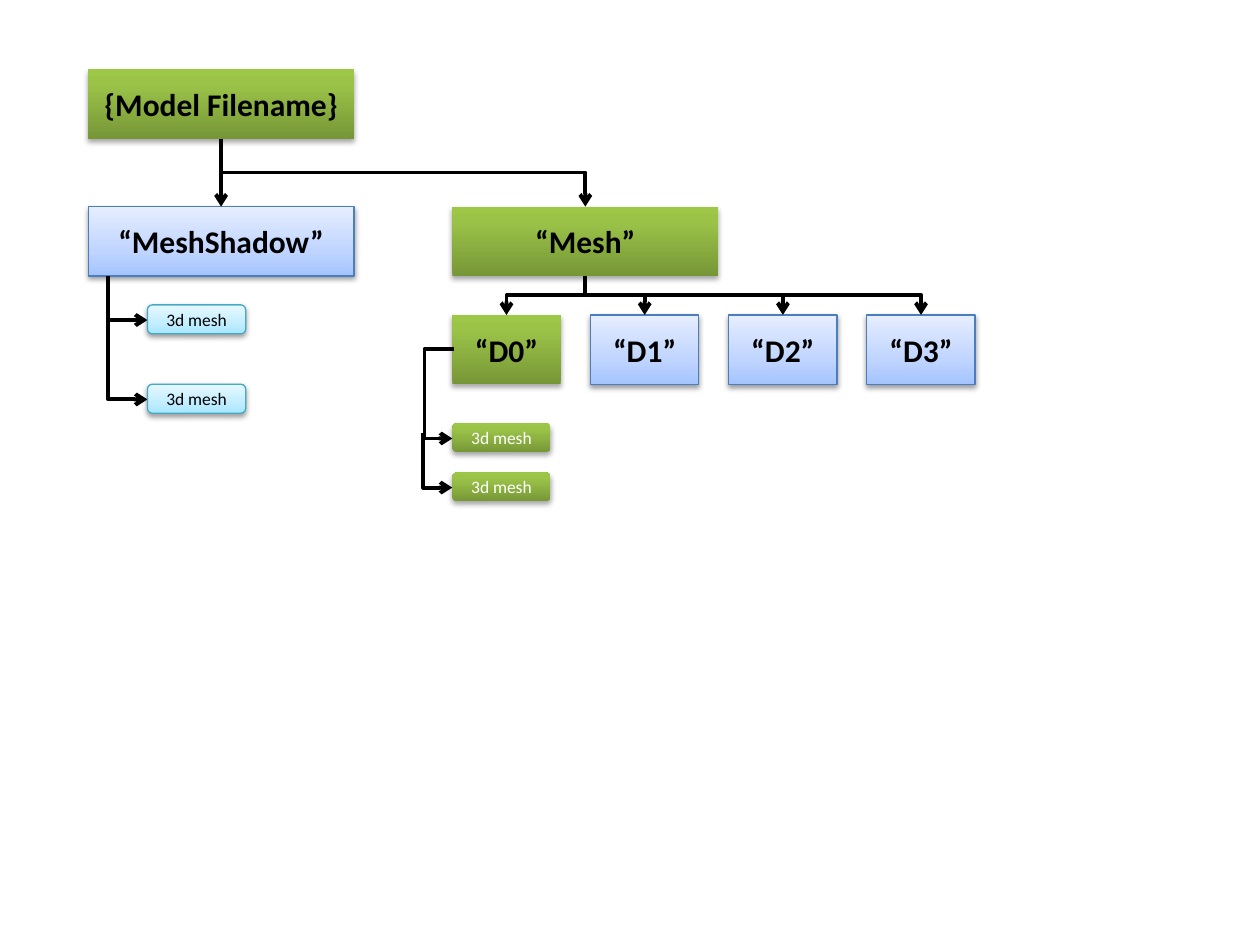
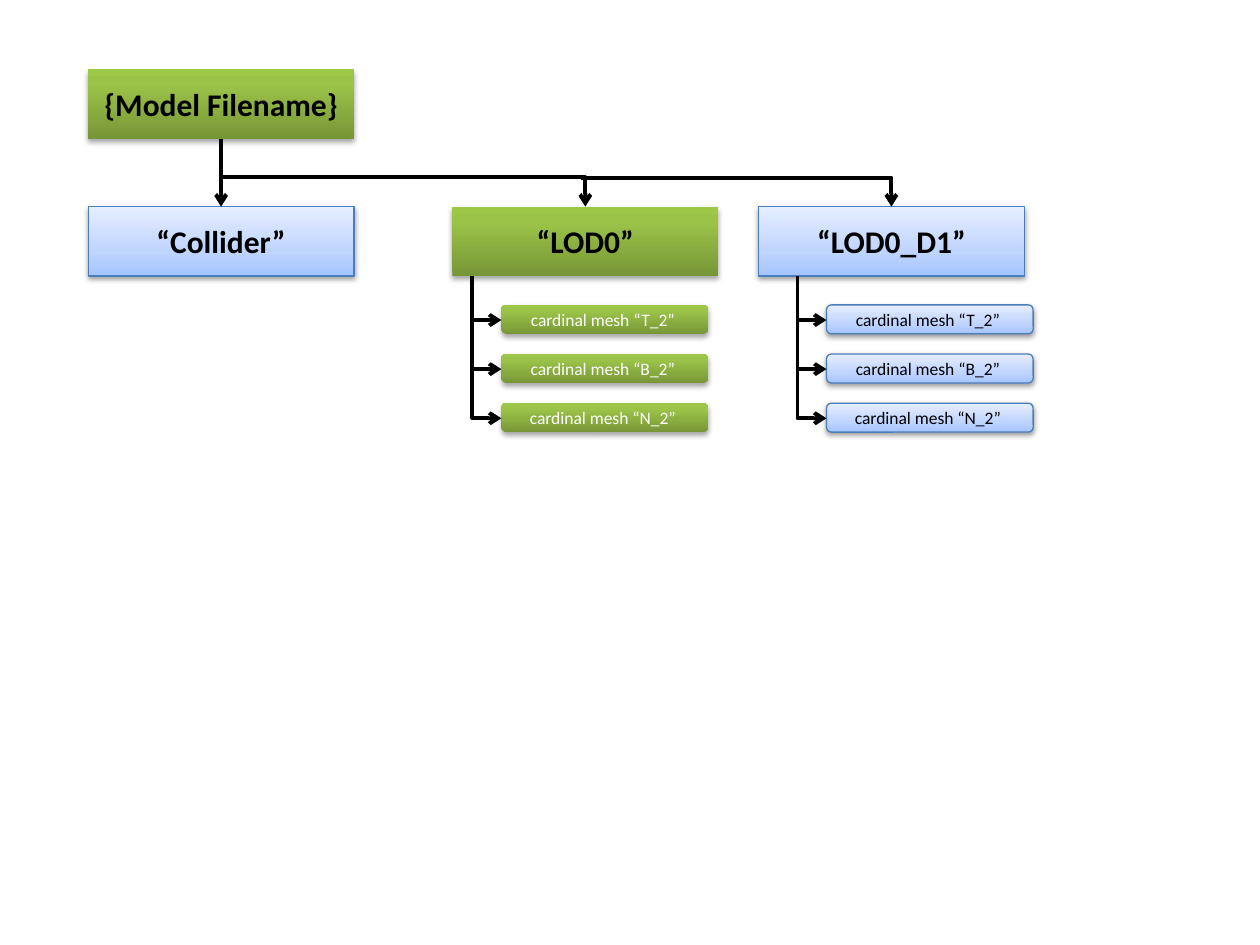
"""Build two slides that show the node hierarchy of a 3D model file."""
from collections import namedtuple
from copy import deepcopy

from lxml.etree import SubElement
from pptx import Presentation
from pptx.dml.color import RGBColor
from pptx.enum.shapes import MSO_CONNECTOR, MSO_SHAPE
from pptx.enum.text import MSO_ANCHOR, PP_ALIGN
from pptx.oxml.ns import qn
from pptx.util import Inches, Pt

BLACK = RGBColor(0x00, 0x00, 0x00)
WHITE = RGBColor(0xFF, 0xFF, 0xFF)
GREEN_DARK = RGBColor(0x77, 0x97, 0x37)
GREEN_MID = RGBColor(0x9B, 0xC3, 0x48)
GREEN_LIGHT = RGBColor(0x9D, 0xC7, 0x46)
BLUE_DARK = RGBColor(0xA4, 0xC4, 0xFF)
BLUE_MID = RGBColor(0xBF, 0xD4, 0xFF)
BLUE_LIGHT = RGBColor(0xE6, 0xEE, 0xFF)
BLUE_EDGE = RGBColor(0x4B, 0x7E, 0xBC)
CYAN_DARK = RGBColor(0xA7, 0xE6, 0xFF)
CYAN_MID = RGBColor(0xC1, 0xED, 0xFF)
CYAN_LIGHT = RGBColor(0xE7, 0xF8, 0xFF)
CYAN_EDGE = RGBColor(0x46, 0xAA, 0xC5)

Look = namedtuple("Look", "stops edge leaf_text shadow_distance shadow_alpha")
GREEN = Look([(0, GREEN_DARK), (0.8, GREEN_MID), (1, GREEN_LIGHT)], None, WHITE, 1.8, 35)
BLUE = Look([(0, BLUE_DARK), (0.35, BLUE_MID), (1, BLUE_LIGHT)], BLUE_EDGE, BLACK, 1.6, 38)
CYAN = Look([(0, CYAN_DARK), (0.35, CYAN_MID), (1, CYAN_LIGHT)], CYAN_EDGE, BLACK, 1.6, 38)

Route = namedtuple("Route", "preset turn flip")
DOWN_RIGHT_DOWN = Route("bentConnector3", 270, "flipH")
DOWN_LEFT_DOWN = Route("bentConnector3", 90, None)
DOWN_RIGHT = Route("bentConnector2", 270, "flipH")
RIGHT_DOWN = Route("bentConnector2", 0, None)
AROUND_LEFT = Route("bentConnector3", 180, "flipV")

NODE_WIDTH, NODE_HEIGHT = 2.11, 0.55
DETAIL_WIDTH, LEAF_HEIGHT, MESH_WIDTH = 0.86, 0.23, 0.78
ROOT_TOP, BRANCH_TOP, DETAIL_TOP, LEAF_TOP = 0.55, 1.64, 2.5, 2.42
ROOT_BOTTOM, BRANCH_BOTTOM = ROOT_TOP + NODE_HEIGHT, BRANCH_TOP + NODE_HEIGHT
FIRST_LEFT, SECOND_LEFT, THIRD_LEFT = 0.7, 3.59, 6.02
FIRST_CENTRE, SECOND_CENTRE, THIRD_CENTRE = (
    left + NODE_WIDTH / 2 for left in (FIRST_LEFT, SECOND_LEFT, THIRD_LEFT))


class TreeDeck:
    """Hold the diagram style and the current slide."""

    def __init__(self):
        self.deck = Presentation()
        self.deck.slide_width, self.deck.slide_height = Inches(10), Inches(7.5)
        self.page = None

    def new_page(self):
        self.page = self.deck.slides.add_slide(self.deck.slide_layouts[6])

    def box(self, kind, text, left, top, width, height, look, font_values):
        box = self.page.shapes.add_shape(
            kind, Inches(left), Inches(top), Inches(width), Inches(height))
        self.fill(box, look)
        self.shade(box, look)
        frame = box.text_frame
        frame.vertical_anchor = MSO_ANCHOR.MIDDLE
        para = frame.paragraphs[0]
        para.alignment = PP_ALIGN.CENTER
        span = para.add_run()
        span.text = text
        color = font_values.pop("color")
        for name, value in font_values.items():
            setattr(span.font, name, value)
        span.font.color.rgb = color
        return box

    def fill(self, box, look):
        box.fill.gradient()
        box.fill.gradient_angle = 90
        stop_list = box._element.spPr.find(".//" + qn("a:gsLst"))
        stop_list.append(deepcopy(stop_list[-1]))
        for stop, (position, color) in zip(box.fill.gradient_stops, look.stops):
            stop.position = position
            stop.color.rgb = color
        if look.edge is None:
            box.line.fill.background()
        else:
            box.line.color.rgb = look.edge
            box.line.width = Pt(0.75)

    def shade(self, box, look):
        box.shadow.inherit = False
        effects = box._element.spPr.find(qn("a:effectLst"))
        shadow = SubElement(
            effects, qn("a:outerShdw"), blurRad=str(Pt(3.1)),
            dist=str(Pt(look.shadow_distance)), dir="5400000", rotWithShape="0")
        color = SubElement(shadow, qn("a:srgbClr"), val=str(BLACK))
        SubElement(color, qn("a:alpha"), val=str(look.shadow_alpha * 1000))

    def node(self, text, left, top, look, width=NODE_WIDTH):
        font_values = {"name": "Calibri", "size": Pt(18), "bold": True, "color": BLACK}
        return self.box(MSO_SHAPE.RECTANGLE, text, left, top, width, NODE_HEIGHT,
                        look, font_values)

    def leaf(self, text, left, top, width, look):
        font_values = {"name": "Calibri", "size": Pt(10), "color": look.leaf_text}
        return self.box(MSO_SHAPE.ROUNDED_RECTANGLE, text, left, top, width, LEAF_HEIGHT,
                        look, font_values)

    def connector(self, kind, left, top, width, height):
        connector = self.page.shapes.add_connector(
            kind, Inches(left), Inches(top), Inches(left + width), Inches(top + height))
        connector.line.color.rgb = BLACK
        connector.line.width = Pt(2.25)
        properties = connector._element.spPr
        SubElement(properties.find(qn("a:ln")), qn("a:tailEnd"), type="arrow")
        SubElement(properties, qn("a:effectLst"))
        return connector

    def arrow(self, upper, lower):
        connector = self.connector(MSO_CONNECTOR.STRAIGHT, FIRST_CENTRE, ROOT_BOTTOM,
                                   0, BRANCH_TOP - ROOT_BOTTOM)
        connector.begin_connect(upper, 2)
        connector.end_connect(lower, 0)

    def elbow(self, start, end, route, bend=None):
        width, height = abs(end[0] - start[0]), abs(end[1] - start[1])
        if route.turn in (90, 270):
            width, height = height, width
        left = (start[0] + end[0] - width) / 2
        top = (start[1] + end[1] - height) / 2
        connector = self.connector(MSO_CONNECTOR.ELBOW, left, top, width, height)
        properties = connector._element.spPr
        frame = properties.find(qn("a:xfrm"))
        frame.set("rot", str(route.turn * 60000))
        if route.flip:
            frame.set(route.flip, "1")
        geometry = properties.find(qn("a:prstGeom"))
        geometry.set("prst", route.preset)
        if bend is not None:
            SubElement(geometry.find(qn("a:avLst")), qn("a:gd"), name="adj1",
                       fmla=f"val {round(bend * 100000)}")

    def trunk(self, first_text, second_text, bend):
        root = self.node("{Model Filename}", FIRST_LEFT, ROOT_TOP, GREEN)
        first = self.node(first_text, FIRST_LEFT, BRANCH_TOP, BLUE)
        self.node(second_text, SECOND_LEFT, BRANCH_TOP, GREEN)
        self.arrow(root, first)
        self.elbow((FIRST_CENTRE, ROOT_BOTTOM), (SECOND_CENTRE, BRANCH_TOP),
                   DOWN_RIGHT_DOWN, bend)


def add_shadow_page(tree):
    tree.new_page()
    tree.trunk("“MeshShadow”", "“Mesh”", 0.5)

    for top in (LEAF_TOP, 3.05):
        tree.elbow((0.86, BRANCH_BOTTOM), (1.17, top + 0.12), DOWN_RIGHT)
        tree.leaf("3d mesh", 1.17, top, MESH_WIDTH, CYAN)

    pitch = (6.88 - SECOND_LEFT) / 3
    bar_top, previous = 2.34, SECOND_CENTRE
    for level in range(4):
        left = SECOND_LEFT + level * pitch
        centre = left + DETAIL_WIDTH / 2
        tree.node(f"“D{level}”", left, DETAIL_TOP, BLUE if level else GREEN, DETAIL_WIDTH)
        if level:
            tree.elbow((previous - 0.04, bar_top), (centre, DETAIL_TOP), RIGHT_DOWN)
            previous = centre
        else:
            tree.elbow((SECOND_CENTRE, BRANCH_BOTTOM), (centre, DETAIL_TOP),
                       DOWN_LEFT_DOWN, 0.5)

    for top in (3.36, 3.75):
        tree.leaf("3d mesh", SECOND_LEFT, top, MESH_WIDTH, GREEN)
    tree.elbow((3.6, 2.77), (SECOND_LEFT, 3.48), AROUND_LEFT, 23.5)
    tree.elbow((3.36, 3.44), (SECOND_LEFT, 3.87), DOWN_RIGHT)


def add_collider_page(tree):
    tree.new_page()
    tree.trunk("“Collider”", "“LOD0”", 0.57)
    tree.node("“LOD0_D1”", THIRD_LEFT, BRANCH_TOP, BLUE)
    tree.elbow((4.61, 1.41), (THIRD_CENTRE, BRANCH_TOP), RIGHT_DOWN)

    for left, look in ((3.98, GREEN), (6.56, BLUE)):
        start = BRANCH_BOTTOM
        for row, letter in enumerate("TBN"):
            top = LEAF_TOP + row * 0.39
            tree.leaf(f"cardinal mesh “{letter}_2” ", left, top, 1.64, look)
            tree.elbow((left - 0.23, start), (left, top + 0.12), DOWN_RIGHT)
            start = top + 0.08 + 0.39 - 0.39


def main():
    tree = TreeDeck()
    add_shadow_page(tree)
    add_collider_page(tree)
    tree.deck.save("out.pptx")


if __name__ == "__main__":
    main()
